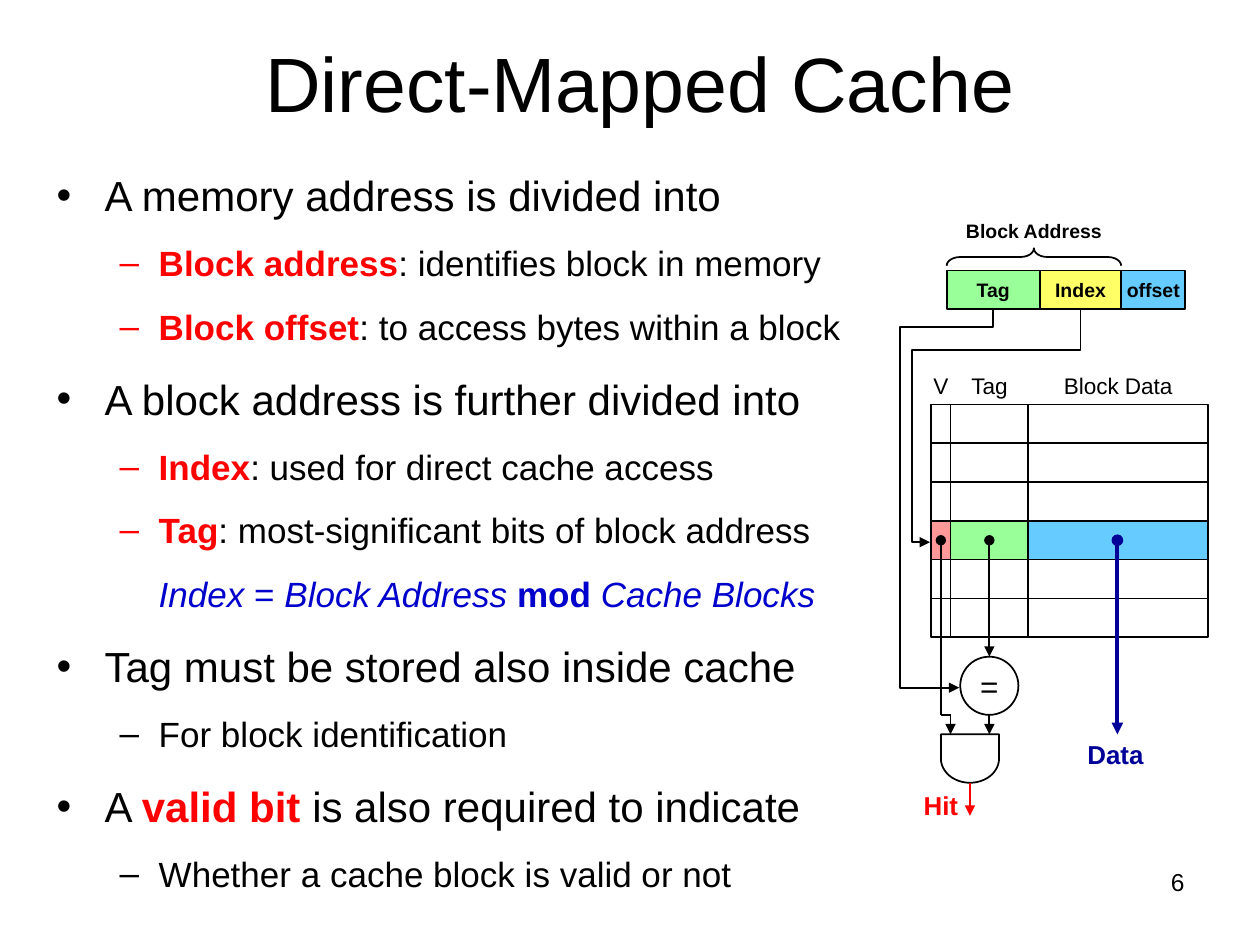
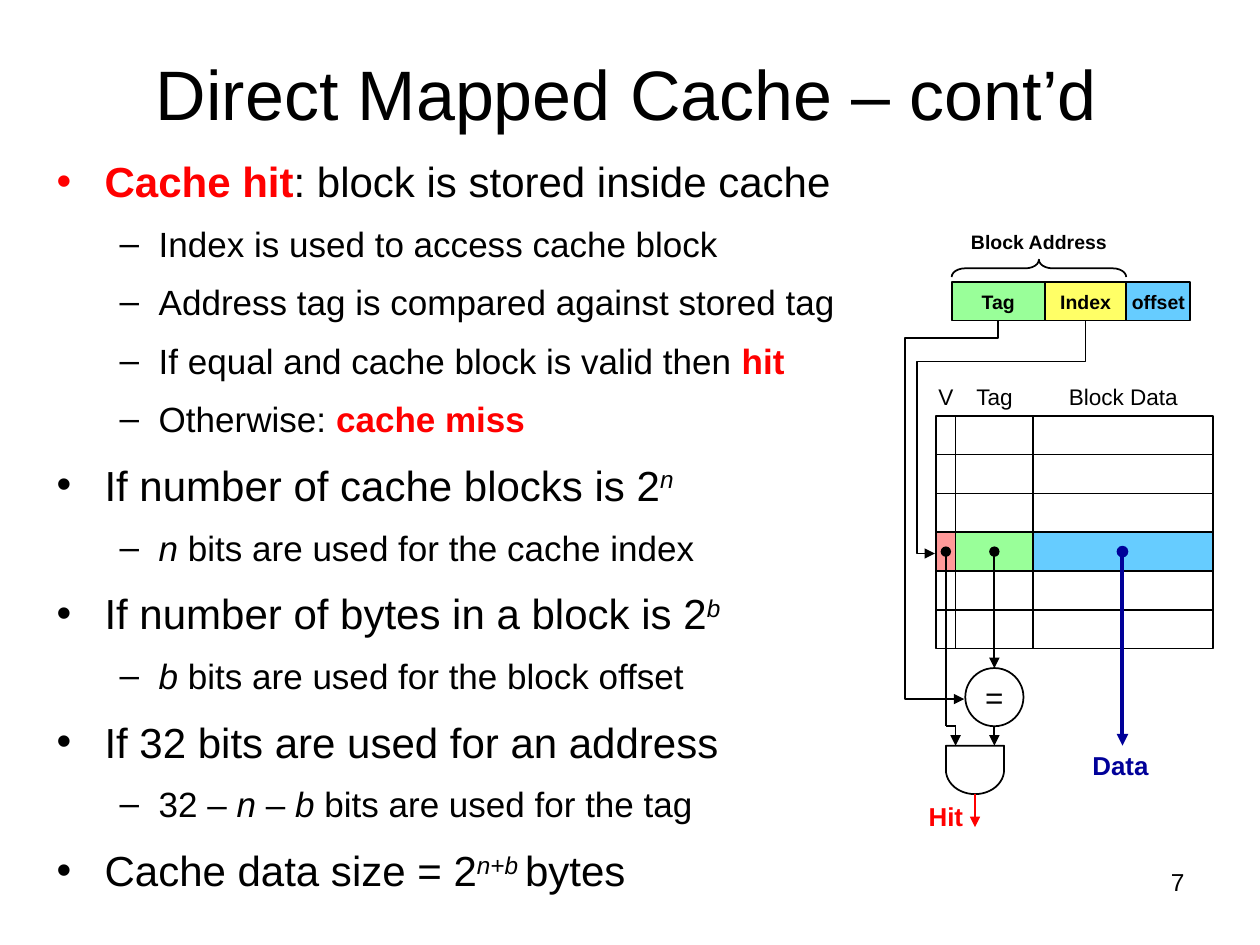
"""Build two slides on the direct-mapped cache."""
from dataclasses import dataclass
from typing import NamedTuple

from lxml import etree
from pptx import Presentation
from pptx.dml.color import RGBColor
from pptx.enum.shapes import MSO_CONNECTOR, MSO_SHAPE
from pptx.enum.text import MSO_ANCHOR, MSO_AUTO_SIZE, PP_ALIGN
from pptx.oxml.ns import qn
from pptx.util import Inches, Pt

RECT, OVAL = MSO_SHAPE.RECTANGLE, MSO_SHAPE.OVAL
GATE, BRACE = MSO_SHAPE.FLOWCHART_DELAY, MSO_SHAPE.RIGHT_BRACE
STRAIGHT = MSO_CONNECTOR.STRAIGHT
MIDDLE, TOP = MSO_ANCHOR.MIDDLE, MSO_ANCHOR.TOP
LEFT, CENTER, RIGHT = PP_ALIGN.LEFT, PP_ALIGN.CENTER, PP_ALIGN.RIGHT


@dataclass(frozen=True)
class Theme:
    """Colours, font and type sizes of the deck."""
    font: str = "Arial"
    ink: str = "000000"
    paper: str = "FFFFFF"
    red: str = "FF0000"
    blue: str = "0000CC"
    navy: str = "000099"
    green: str = "99FF99"
    yellow: str = "FFFF66"
    sky: str = "66CCFF"
    pink: str = "FF9999"
    levels: tuple = (24, 20)
    page: float = 14
    head: float = 12.9
    field: float = 11.1
    out: float = 14.8
    sign: float = 18
    thin: float = 1
    thick: float = 2.25


T = Theme()


class Box(NamedTuple):
    """A place on a grid: column, row, columns wide, rows high."""
    col: float
    row: float
    wide: float
    high: float


@dataclass(frozen=True)
class Grid:
    """A square grid; left, top and cell are in inches."""
    left: float
    top: float
    cell: float

    def point(self, col: float, row: float) -> tuple:
        """Return the place of a grid point."""
        return (Inches(self.left + col * self.cell),
                Inches(self.top + row * self.cell))

    def frame(self, box: Box) -> tuple:
        """Return left, top, width and height of a box."""
        return (*self.point(box.col, box.row),
                Inches(box.wide * self.cell), Inches(box.high * self.cell))


PAGE = Grid(0, 0, 0.1)


class Run(NamedTuple):
    """A stretch of text in one format."""
    text: str
    color: str = T.ink
    bold: bool = False
    italic: bool = False
    base: int = 0


class Item(NamedTuple):
    """One list line: its level, its runs, and whether it has a bullet."""
    level: int
    runs: tuple
    bullet: bool = True


class Field(NamedTuple):
    """A labelled part of the address or the cache, with its fill."""
    text: str
    col: float
    wide: float
    fill: str


class Wire(NamedTuple):
    """A straight line between two grid points, with its ends."""
    start: tuple
    end: tuple
    color: str = T.ink
    width: float = T.thin
    head: str = ""
    tail: str = ""


class Page(NamedTuple):
    """What differs from slide to slide."""
    title: str
    size: float
    spot: Box
    body: Box
    gap: int
    items: tuple
    grid: Grid


def term(text: str) -> Run:
    """Return a red bold key term."""
    return Run(text, T.red, bold=True)


def slant(text: str, color: str = T.ink, base: int = 0) -> Run:
    """Return an italic run."""
    return Run(text, color, italic=True, base=base)


def write(par, text: str, *, size: float, color: str = T.ink,
          bold: bool = False, italic: bool = False, base: int = 0) -> None:
    """Add formatted text to a paragraph."""
    run = par.add_run()
    run.text = text
    font = run.font
    font.name, font.size = T.font, Pt(size)
    font.bold, font.italic = bold, italic
    font.color.rgb = RGBColor.from_string(color)
    if base:
        font._element.set("baseline", str(base * 1000))


def setup(shape, anchor, align, inset: tuple = (0, 0)):
    """Prepare a text frame and return its first paragraph."""
    frame = shape.text_frame
    frame.word_wrap, frame.auto_size = True, MSO_AUTO_SIZE.NONE
    frame.vertical_anchor = anchor
    frame.margin_left = frame.margin_right = Inches(inset[0])
    frame.margin_top = frame.margin_bottom = Inches(inset[1])
    par = frame.paragraphs[0]
    par.alignment = align
    return par


def place(shape, box: Box) -> None:
    """Move a placeholder on the page grid."""
    shape.left, shape.top, shape.width, shape.height = PAGE.frame(box)


def layout(par, item: Item, gap: int) -> None:
    """Set level, spacing, indent and bullet of a list line."""
    left, hang = ((0.38, 0.38), (0.81, 0.31))[item.level]
    par.level, par.line_spacing, par.space_before = item.level, 1.14, Pt(0)
    props = par._p.get_or_add_pPr()
    props.set("marL", str(Inches(left)))
    props.set("indent", str(-Inches(hang) if item.bullet else 0))
    space = props.find(qn("a:spcBef"))
    space.remove(space[0])
    etree.SubElement(space, qn("a:spcPct"), val=str(gap * 1000))
    if item.bullet:
        etree.SubElement(props, qn("a:buFont"), typeface=T.font)
        etree.SubElement(props, qn("a:buChar"), char="•–"[item.level])
    else:
        etree.SubElement(props, qn("a:buNone"))


def stroke(shape, color: str = T.ink, width: float = T.thin,
           head: str = "", tail: str = "") -> None:
    """Set the outline of a shape and its arrowheads."""
    shape.line.color.rgb = RGBColor.from_string(color)
    shape.line.width = Pt(width)
    line = shape._element.spPr.find(qn("a:ln"))
    for tag, kind in (("a:headEnd", head), ("a:tailEnd", tail)):
        if kind:
            etree.SubElement(line, qn(tag), type=kind)


def solid(art, grid: Grid, kind, box: Box, fill: str = ""):
    """Draw an outlined preset shape, filled or open."""
    shape = art.add_shape(kind, *grid.frame(box))
    shape.shadow.inherit = False
    if fill:
        shape.fill.solid()
        shape.fill.fore_color.rgb = RGBColor.from_string(fill)
    else:
        shape.fill.background()
    stroke(shape)
    return shape


def label(art, grid: Grid, box: Box, text: str, **look) -> None:
    """Draw a centred text box."""
    shape = art.add_textbox(*grid.frame(box))
    write(setup(shape, MIDDLE, CENTER), text, **look)


def link(art, grid: Grid, wire: Wire) -> None:
    """Draw a straight wire."""
    shape = art.add_connector(STRAIGHT, *grid.point(*wire.start),
                              *grid.point(*wire.end))
    stroke(shape, *wire[2:])
    etree.SubElement(shape._element.spPr, qn("a:effectLst"))


def route(art, grid: Grid, points: tuple) -> None:
    """Draw a bent wire that ends in an arrow."""
    spots = [grid.point(*spot) for spot in points]
    path = art.build_freeform(*spots[0])
    path.add_line_segments(spots[1:], close=False)
    shape = path.convert_to_shape()
    shape.shadow.inherit = False
    shape.fill.background()
    stroke(shape, tail="triangle")


WIDE, ROWS, HIT_ROW = 14.28, 12, 6
PARTS = (Field("V", 0, 1, T.pink), Field("Tag", 1, 4, T.green),
         Field("Block Data", 5, WIDE - 5, T.sky))
ADDRESS = (Field("Tag", 0.8, 4.8, T.green), Field("Index", 5.6, 4.2, T.yellow),
           Field("offset", 9.8, 3.3, T.sky))
MID = HIT_ROW + 1
WIRES = (
    Wire((9.6, MID), (9.6, 17), T.navy, T.thick, "oval", "triangle"),
    Wire((3, MID), (3, 13), head="oval", tail="triangle"),
    Wire((3, 16), (3, 17), tail="triangle"),
    Wire((0.5, MID), (0.5, 16), head="oval"),
    Wire((0.5, 16), (1, 16)),
    Wire((1, 16), (1, 17), tail="triangle"),
    Wire((2, 19.5), (2, 21.2), T.red, tail="triangle"),
)
ROUTES = (
    ((7.7, -4.9), (7.7, -2.8), (-1, -2.8), (-1, 7.1), (-0.06, 7.1)),
    ((3.2, -4.9), (3.2, -4), (-1.6, -4), (-1.6, 14.6), (1.45, 14.6)),
)


def cache(slide, grid: Grid) -> None:
    """Draw the address, the cache lines and the hit logic as a group."""
    art = slide.shapes.add_group_shape().shapes
    solid(art, grid, RECT, Box(0, 0, WIDE, ROWS), T.paper)
    for row in (2, 4, 10):
        link(art, grid, Wire((0, row), (WIDE, row)))
    for part in PARTS:
        if part.col:
            link(art, grid, Wire((part.col, 0), (part.col, ROWS)))
        solid(art, grid, RECT, Box(part.col, HIT_ROW, part.wide, 2), part.fill)
        label(art, grid, Box(part.col, -2.2, part.wide, 2.46), part.text,
              size=T.head)
    gate = solid(art, grid, GATE, Box(0.75, 16.75, 2.5, 3), T.paper)
    gate.rotation = 90
    ring = solid(art, grid, OVAL, Box(1.5, 13, 3, 3), T.paper)
    write(setup(ring, MIDDLE, CENTER), "=", size=T.sign)
    for wire in WIRES:
        link(art, grid, wire)
    label(art, grid, Box(-1, 19.65, 3, 2), "Hit", size=T.out, color=T.red,
          bold=True)
    label(art, grid, Box(7.8, 17, 3.4, 2), "Data", size=T.out, color=T.navy,
          bold=True)
    for part in ADDRESS:
        cell = solid(art, grid, RECT, Box(part.col, -6.9, part.wide, 2),
                     part.fill)
        write(setup(cell, MIDDLE, CENTER), part.text, size=T.field, bold=True)
    label(art, grid, Box(0.8, -9.55, 9, 1.2), "Block Address", size=T.field,
          bold=True)
    brace = solid(art, grid, BRACE, Box(4.85, -12.1, 0.9, 9))
    brace.rotation = 270
    brace.adjustments[0] = 0.77
    for points in ROUTES:
        route(art, grid, points)


def build(deck, page: Page, number: int) -> None:
    """Add one slide."""
    slide = deck.slides.add_slide(deck.slide_layouts[1])
    title, body = slide.placeholders
    place(title, page.spot)
    write(setup(title, MIDDLE, CENTER, (0.1, 0.05)), page.title, size=page.size)
    place(body, page.body)
    par = setup(body, TOP, LEFT, (0.1, 0.05))
    for spot, item in enumerate(page.items):
        par = body.text_frame.add_paragraph() if spot else par
        layout(par, item, page.gap)
        for run in item.runs:
            write(par, size=T.levels[item.level], **run._asdict())
    cache(slide, page.grid)
    foot = slide.shapes.add_textbox(*PAGE.frame(Box(71.7, 68.3, 23.3, 5.2)))
    write(setup(foot, TOP, RIGHT, (0.1, 0.05)), str(number), size=T.page)


FIRST = (
    Item(0, (Run("A memory address is divided into"),)),
    Item(1, (term("Block address"), Run(": identifies block in memory"))),
    Item(1, (term("Block offset"), Run(": to access bytes within a block"))),
    Item(0, (Run("A block address is further divided into"),)),
    Item(1, (term("Index"), Run(": used for direct cache access"))),
    Item(1, (term("Tag"), Run(": most-significant bits of block address"))),
    Item(1, (slant("Index", T.blue), Run(" = ", T.blue),
             slant("Block Address ", T.blue), Run("mod ", T.blue, bold=True),
             slant("Cache Blocks", T.blue)), bullet=False),
    Item(0, (Run("Tag must be stored also inside cache"),)),
    Item(1, (Run("For block identification"),)),
    Item(0, (Run("A "), term("valid bit "),
             Run("is also required to indicate"))),
    Item(1, (Run("Whether a cache block is valid or not"),)),
)
SECOND = (
    Item(0, (term("Cache hit"), Run(": block is stored inside cache"))),
    Item(1, (Run("Index is used to access cache block"),)),
    Item(1, (Run("Address tag is compared against stored tag"),)),
    Item(1, (Run("If equal and cache block is valid then "), term("hit"))),
    Item(1, (Run("Otherwise: "), term("cache miss"))),
    Item(0, (Run("If number of cache blocks is 2"), slant("n", base=30))),
    Item(1, (slant("n"), Run(" bits are used for the cache index"))),
    Item(0, (Run("If number of bytes in a block is 2"), slant("b", base=30))),
    Item(1, (slant("b"), Run(" bits are used for the block offset"))),
    Item(0, (Run("If 32 bits are used for an address"),)),
    Item(1, (Run("32 – "), slant("n"), Run(" – "), slant("b"),
             Run(" bits are used for the tag"))),
    Item(0, (Run("Cache data size = 2"), slant("n", base=30),
             Run("+", base=30), slant("b ", base=30), Run("bytes"))),
)
PAGES = (
    Page("Direct-Mapped Cache", 44, Box(5.8, 0.2, 90, 12.5),
         Box(3.5, 12.4, 65, 56.3), 45, FIRST, Grid(7.39, 3.21, 0.154)),
    Page("Direct Mapped Cache – cont’d", 40, Box(4.7, 1.1, 90, 12.5),
         Box(3.5, 11.3, 67.6, 57.8), 30, SECOND, Grid(7.43, 3.3, 0.154)),
)

deck = Presentation()
deck.slide_width, deck.slide_height = Inches(10), Inches(7.5)
for number, page in enumerate(PAGES, 6):
    build(deck, page, number)
deck.save("out.pptx")
